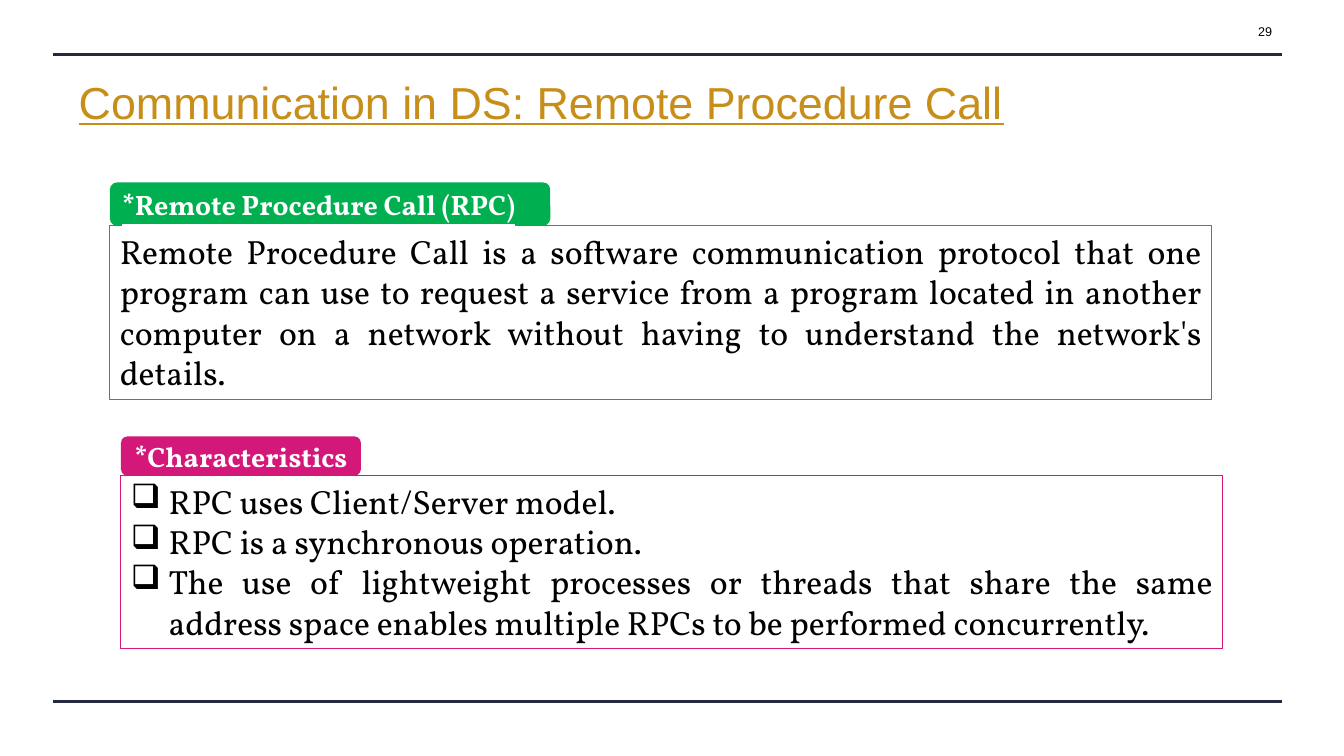
from lxml import etree
from pptx import Presentation
from pptx.dml.color import RGBColor
from pptx.enum import shapes, text
from pptx.oxml import ns
from pptx.util import Pt

COLORS = {"rule": "242841", "title": "C88E1A", "green": "00B050",
          "pink": "D3187A", "black": "000000", "white": "FFFFFF"}
HEADING_FONT, BODY_FONT = "Arial", "Vollkorn"
ALIGN = text.PP_ALIGN


def rgb(name):
    return RGBColor.from_string(COLORS[name])


def style(p, font, size, color, align=ALIGN.LEFT, bold=False, underline=False):
    p.alignment = align
    for r in p.runs:
        f = r.font
        f.name, f.size, f.bold, f.underline = font, Pt(size), bold, underline
        f.color.rgb = rgb(color)


def add_bullet(p, indent):
    pPr = p._p.get_or_add_pPr()
    pPr.set("marL", str(Pt(indent)))
    pPr.set("indent", str(-Pt(indent)))
    etree.SubElement(pPr, ns.qn("a:buChar")).set("char", "❑")


def add_rule(s, left, right, y):
    line = s.shapes.add_connector(shapes.MSO_CONNECTOR.STRAIGHT,
                                  Pt(left), Pt(y), Pt(right), Pt(y))
    line.line.color.rgb = rgb("rule")
    line.line.width = Pt(2.25)
    etree.SubElement(line._element.spPr, ns.qn("a:effectLst"))


def add_title(s, left, top, width, height, title):
    sp = s.shapes.title
    sp.left, sp.top, sp.width, sp.height = map(Pt, (left, top, width, height))
    tf = sp.text_frame
    tf.text = title
    tf.vertical_anchor = text.MSO_ANCHOR.TOP
    tf.auto_size = text.MSO_AUTO_SIZE.NONE
    style(tf.paragraphs[0], HEADING_FONT, 32, "title", underline=True)


def add_page_number(s, left, top, width, height, number):
    tf = s.shapes.add_textbox(*map(Pt, (left, top, width, height))).text_frame
    tf.word_wrap = True
    tf.vertical_anchor = text.MSO_ANCHOR.MIDDLE
    tf.text = number
    style(tf.paragraphs[0], HEADING_FONT, 9, "black", ALIGN.RIGHT)


def add_box(s, kind, left, top, width, height):
    sp = s.shapes.add_shape(kind, *map(Pt, (left, top, width, height)))
    sp.shadow.inherit = False
    sp.text_frame.word_wrap = True
    return sp


def add_panel(s, left, top, width, height, color, label, label_size,
              lines, label_align=ALIGN.LEFT, bulleted=False):
    """Outlined text box with a filled label tab sitting on its top edge."""
    body = add_box(s, shapes.MSO_SHAPE.RECTANGLE, left, top, width, height)
    body.fill.background()
    body.line.color.rgb = rgb(color)
    body.line.width = Pt(0.75)
    tf = body.text_frame
    tf.vertical_anchor = text.MSO_ANCHOR.TOP
    tf.text = "\n".join(lines)
    for p in tf.paragraphs:
        if bulleted:
            add_bullet(p, 27)
        style(p, BODY_FONT, 24, "black", ALIGN.JUSTIFY)

    label_width, label_height = label_size
    tab = add_box(s, shapes.MSO_SHAPE.ROUNDED_RECTANGLE,
                  left, top - label_height, label_width, label_height)
    tab.fill.solid()
    tab.fill.fore_color.rgb = rgb(color)
    tab.line.fill.background()
    tf = tab.text_frame
    tf.vertical_anchor = text.MSO_ANCHOR.MIDDLE
    tf.text = label
    style(tf.paragraphs[0], BODY_FONT, 20, "white", label_align, True, True)


def main():
    prs = Presentation()
    prs.slide_width, prs.slide_height = Pt(960), Pt(540)
    s = prs.slides.add_slide(prs.slide_layouts[5])
    for y in (38.9, 501.1):
        add_rule(s, 38.2, 915.8, y)
    add_title(s, 49, 49.7, 851.8, 46.1,
              "Communication in DS: Remote Procedure Call")
    add_page_number(s, 865.4, 7.9, 50.4, 28.8, "29")
    add_panel(s, 78.5, 161.3, 787, 123.8, "green",
              "*Remote Procedure Call (RPC)", (314.6, 31),
              ["Remote Procedure Call is a software communication protocol that "
               "one program can use to request a service from a program located "
               "in another computer on a network without having to understand "
               "the network's details."])
    add_panel(s, 86.4, 339.8, 787, 123.8, "pink",
              "*Characteristics", (171.4, 28.1),
              ["RPC uses Client/Server model.",
               "RPC is a synchronous operation.",
               "The use of lightweight processes or threads that share the same "
               "address space enables multiple RPCs to be performed "
               "concurrently."],
              label_align=ALIGN.CENTER, bulleted=True)
    prs.save("out.pptx")


if __name__ == "__main__":
    main()
